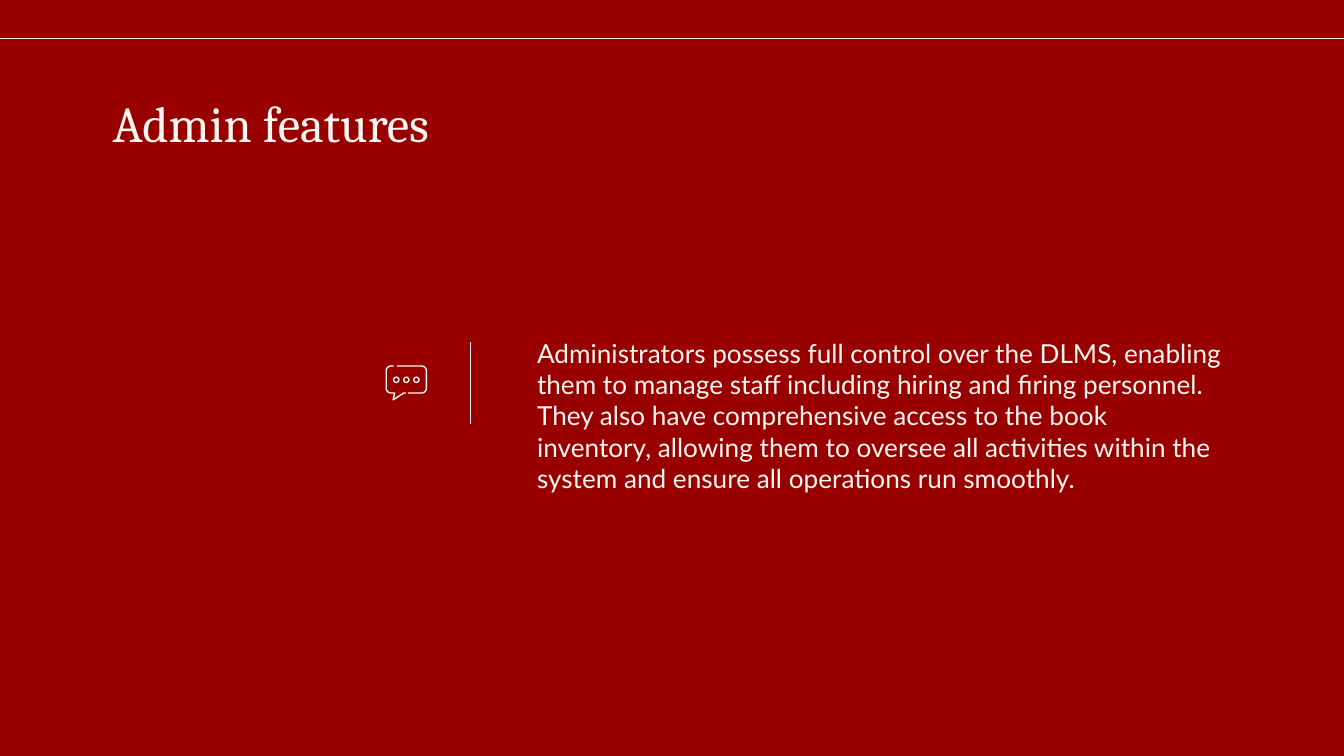
from math import cos, radians, sin

from pptx import Presentation
from pptx import util as u
from pptx.dml.color import RGBColor
from pptx.enum import shapes, text
from pptx.oxml.ns import qn
from lxml import etree

RED = RGBColor(0x98, 0x00, 0x00)
CREAM = RGBColor(0xFF, 0xF8, 0xF2)
BODY = (
    "Administrators possess full control over the DLMS, enabling them to manage "
    "staff including hiring and firing personnel. They also have comprehensive "
    "access to the book inventory, allowing them to oversee all activities within "
    "the system and ensure all operations run smoothly."
)


def add_text(slide, words, box, font="Lato", size=14, color=CREAM, indent=0):
    frame = slide.shapes.add_textbox(*map(u.Cm, box)).text_frame
    frame.word_wrap = True
    frame.vertical_anchor = text.MSO_ANCHOR.TOP
    frame.margin_left = u.Cm(0.25 + indent)
    frame.margin_right = frame.margin_top = frame.margin_bottom = u.Cm(0.25)
    para = frame.paragraphs[0]
    para.text = words
    para.font.name = font
    para.font.size = u.Pt(size)
    para.font.color.rgb = color


def stroke(shape):
    shape.line.color.rgb = CREAM
    shape.line.width = u.Pt(0.75)


def add_rule(slide, x1, y1, x2, y2):
    rule = slide.shapes.add_connector(
        shapes.MSO_CONNECTOR.STRAIGHT, *map(u.Cm, (x1, y1, x2, y2)))
    stroke(rule)
    etree.SubElement(rule._element.spPr, qn("a:effectLst"))


def outline(shape):
    shape.shadow.inherit = False
    shape.fill.background()
    stroke(shape)


def add_path(group, points):
    """Draw an open outline through points given in centimetres."""
    start, *rest = [(u.Cm(x), u.Cm(y)) for x, y in points]
    pen = group.shapes.build_freeform(*start)
    pen.add_line_segments(rest, close=False)
    outline(pen.convert_to_shape())


def arc(x, y, start, sweep, radius=0.09, steps=6):
    """Return the points of a rounded corner centred on x, y."""
    turns = [radians(start + sweep * i / steps) for i in range(steps + 1)]
    return [(x + radius * cos(t), y + radius * sin(t)) for t in turns]


def add_bubble(slide):
    """Draw a speech bubble in two strokes, with three rings inside."""
    group = slide.shapes.add_group_shape()
    left, right, top, base, r = 7.3, 8.06, 6.92, 7.43, 0.09
    add_path(group, [(7.44, top),
                     *arc(left + r, top + r, 270, -90),
                     *arc(left + r, base - r, 180, -90),
                     (7.46, base), (7.43, 7.56), (7.63, base), (7.67, base)])
    add_path(group, [(7.5, top),
                     *arc(right - r, top + r, 270, 90),
                     *arc(right - r, base - r, 0, 90),
                     (7.71, base)])
    size, gap = 0.1, 0.19
    for i in (-1, 0, 1):
        x = (left + right) / 2 + i * gap - size / 2
        ring = group.shapes.add_shape(
            shapes.MSO_SHAPE.OVAL, *map(u.Cm, (x, 7.13, size, size)))
        outline(ring)


def main():
    deck = Presentation()
    deck.slide_width, deck.slide_height = u.Cm(25.4), u.Cm(14.29)
    slide = deck.slides.add_slide(deck.slide_layouts[6])
    slide.background.fill.solid()
    slide.background.fill.fore_color.rgb = RED
    add_rule(slide, 0, 0.73, 25.4, 0.73)
    add_text(slide, "Admin features", (1.88, 1.5, 21.54, 1.57),
             font="Cambria", size=27)
    add_text(slide, BODY, (9.27, 6.12, 14.15, 6.71), indent=0.63)
    add_rule(slide, 8.89, 6.47, 8.89, 8.02)
    add_bubble(slide)
    deck.save("out.pptx")


if __name__ == "__main__":
    main()
